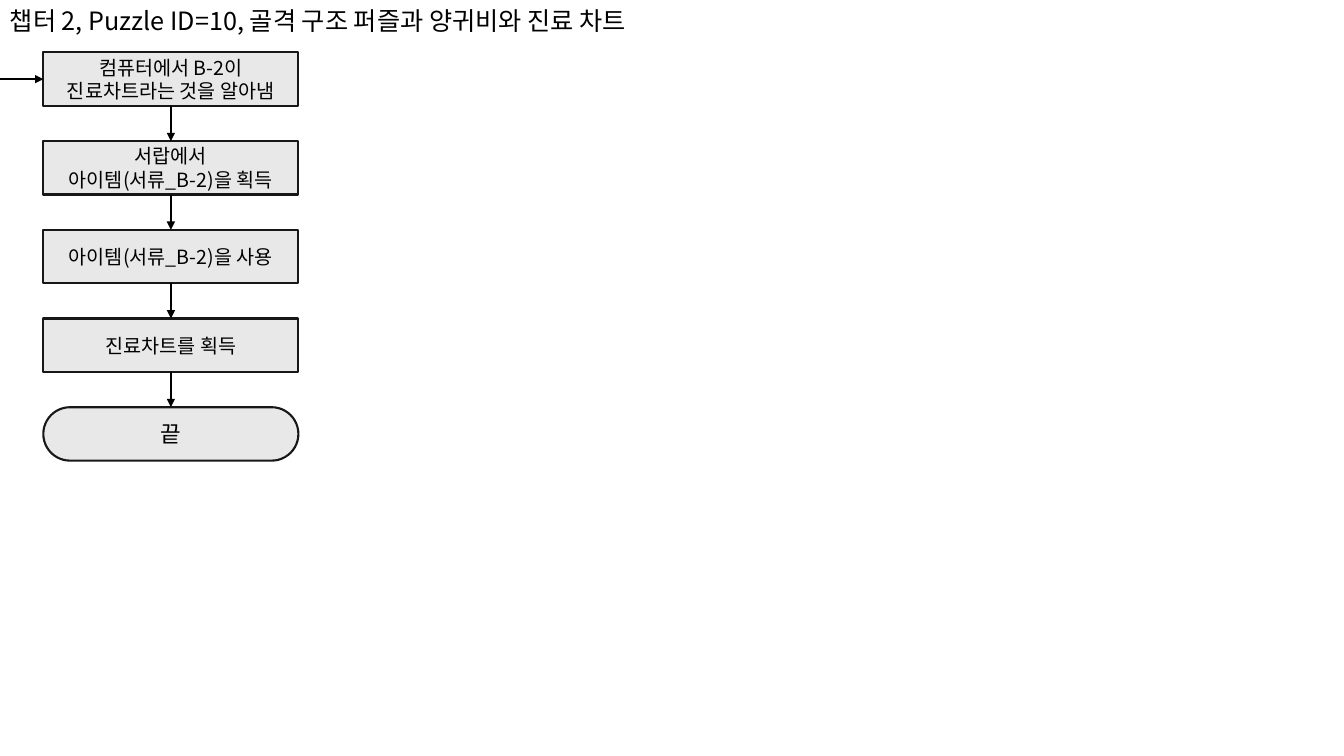
from pptx import Presentation
from pptx.dml.color import RGBColor
from pptx.enum.shapes import MSO_CONNECTOR, MSO_SHAPE
from pptx.enum.text import MSO_ANCHOR, MSO_AUTO_SIZE, PP_ALIGN
from pptx.oxml.ns import qn
from pptx.util import Inches, Pt
from lxml.etree import SubElement

BLACK = RGBColor(0x00, 0x00, 0x00)
BORDER = RGBColor(0x17, 0x17, 0x17)
BOX_FILL = RGBColor(0xE8, 0xE8, 0xE8)
FONT = "Noto Sans CJK KR"

BOX_LEFT, BOX_TOP, BOX_W, BOX_H = 0.43, 0.52, 2.53, 0.53
PITCH = 0.88
TOP, LEFT, BOTTOM = 0, 1, 2

TITLE = "챕터 2, Puzzle ID=10, 골격 구조 퍼즐과 양귀비와 진료 차트"
STEPS = [
    ["컴퓨터에서 B-2이 진료차트라는 것을 알아냄"],
    ["서랍에서", "아이템(서류_B-2)을 획득"],
    ["아이템(서류_B-2)을 사용"],
    ["진료차트를 획득"],
]


class Flowchart:
    def __init__(self, slide):
        self.shapes = slide.shapes

    def add_lines(self, tf, lines, size, align):
        tf.word_wrap = True
        for i, line in enumerate(lines):
            p = tf.paragraphs[0] if i == 0 else tf.add_paragraph()
            p.alignment = align
            r = p.add_run()
            r.text = line
            r.font.size = Pt(size)
            r.font.name = FONT
            r.font.color.rgb = BLACK
            SubElement(r._r.get_or_add_rPr(), qn("a:ea"), typeface=FONT)

    def title(self, text):
        sp = self.shapes.add_textbox(0, 0, Inches(7.02), Inches(0.4))
        self.add_lines(sp.text_frame, [text], 18, PP_ALIGN.LEFT)
        sp.text_frame.auto_size = MSO_AUTO_SIZE.SHAPE_TO_FIT_TEXT

    def box(self, row, lines, kind=MSO_SHAPE.RECTANGLE, size=14):
        sp = self.shapes.add_shape(kind, Inches(BOX_LEFT), Inches(BOX_TOP + row * PITCH),
                                   Inches(BOX_W), Inches(BOX_H))
        sp.shadow.inherit = False
        sp.fill.solid()
        sp.fill.fore_color.rgb = BOX_FILL
        sp.line.color.rgb = BORDER
        sp.line.width = Pt(1.5)
        sp.text_frame.vertical_anchor = MSO_ANCHOR.MIDDLE
        self.add_lines(sp.text_frame, lines, size, PP_ALIGN.CENTER)
        return sp

    def arrow(self, target, side, source=None):
        """Point at a side of target, from the bottom of source or the slide's left edge."""
        y = target.top + target.height // 2
        cxn = self.shapes.add_connector(MSO_CONNECTOR.STRAIGHT, 0, y, target.left, y)
        if source is not None:
            cxn.begin_connect(source, BOTTOM)
        cxn.end_connect(target, side)
        cxn.line.color.rgb = BLACK
        cxn.line.width = Pt(1.5)
        sp_pr = cxn._element.spPr
        SubElement(sp_pr.find(qn("a:ln")), qn("a:tailEnd"), type="triangle")
        SubElement(sp_pr, qn("a:effectLst"))


def main():
    prs = Presentation()
    prs.slide_width, prs.slide_height = Inches(13.33), Inches(7.5)
    chart = Flowchart(prs.slides.add_slide(prs.slide_layouts[6]))

    chart.title(TITLE)
    boxes = [chart.box(row, lines) for row, lines in enumerate(STEPS)]
    end = chart.box(len(STEPS), ["끝"], MSO_SHAPE.ROUNDED_RECTANGLE, 16)
    end.adjustments[0] = 0.5
    boxes.append(end)

    chart.arrow(boxes[0], LEFT)
    for source, target in zip(boxes, boxes[1:]):
        chart.arrow(target, TOP, source)

    prs.save("out.pptx")


if __name__ == "__main__":
    main()
